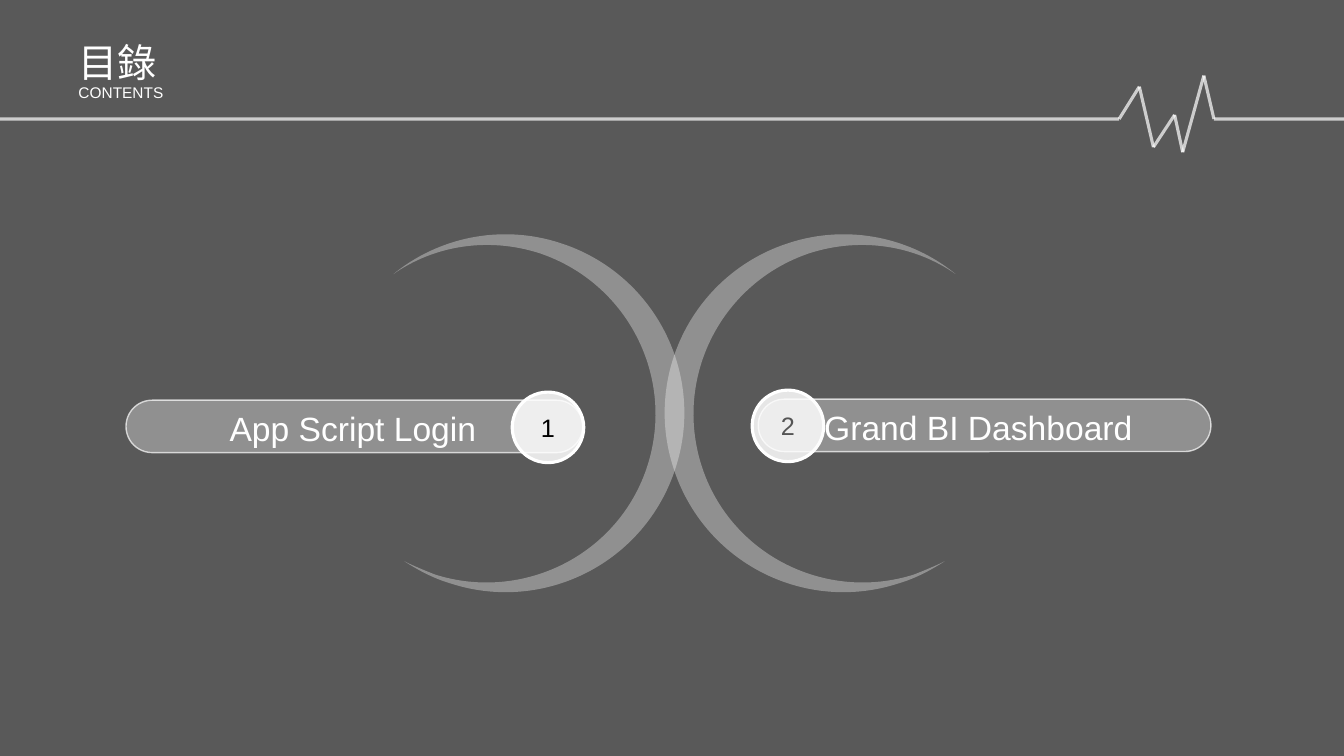
"""Build a contents slide with a pulse line, two crescents and two numbered bars."""
from itertools import pairwise
from math import cos, radians, sin

from lxml.etree import SubElement
from pptx import Presentation
from pptx.dml.color import RGBColor
from pptx.enum.shapes import MSO_CONNECTOR, MSO_SHAPE
from pptx.enum.text import MSO_ANCHOR, PP_ALIGN
from pptx.oxml.ns import qn
from pptx.util import Inches, Pt

THEME = {
    "font": "Arial",
    "veil": "000000",
    "white": "FFFFFF",
    "panel": "FCFCFC",
    "number": "000000",
    "title_size": 28,
    "subtitle_size": 11,
    "label_size": 24,
    "number_size": 18,
    "veil_alpha": 65,
    "panel_alpha": 34,
    "line_alpha": 70,
    "badge_alpha": 85,
    "thick": 2.25,
    "thin": 1,
}
SLIDE_SIZE = (13.33, 7.5)
TITLE = ("目錄", (0.68, 0.33, 3.88, 0.57))
SUBTITLE = ("CONTENTS", (0.68, 0.75, 4.35, 0.3))
PULSE = [(0, 1.18), (11.1, 1.18), (11.3, 0.86), (11.44, 1.46), (11.65, 1.14),
         (11.73, 1.51), (11.94, 0.75), (12.04, 1.18), (13.33, 1.18)]
CRESCENT_START = (5.55, 2.41)
CRESCENT_CURVES = [
    ((6.49, 2.71), (7, 3.71), (6.7, 4.64)),
    ((6.4, 5.58), (5.4, 6.09), (4.47, 5.79)),
    ((4.3, 5.74), (4.15, 5.66), (4.01, 5.57)),
    ((4.11, 5.62), (4.21, 5.66), (4.31, 5.7)),
    ((5.19, 5.98), (6.14, 5.5), (6.42, 4.62)),
    ((6.7, 3.74), (6.22, 2.8), (5.34, 2.51)),
    ((4.83, 2.35), (4.3, 2.44), (3.9, 2.72)),
    ((4.34, 2.36), (4.96, 2.22), (5.55, 2.41)),
]
CRESCENT_CENTER = (5.15, 4.14)
CRESCENT_TILT = 17.8
MIRROR_SUM = 13.38
UNITS_PER_INCH = 10000
ITEMS = [
    {"number": "1", "label": "App Script Login", "badge_in_front": True,
     "bar": (1.25, 3.97, 4.53, 0.52), "badge": (5.08, 3.89, 0.71, 0.7),
     "label_box": (1.22, 4, 4.56, 0.5)},
    {"number": "2", "label": "Grand BI Dashboard ", "badge_in_front": False,
     "bar": (7.52, 3.96, 4.49, 0.52), "badge": (7.46, 3.87, 0.71, 0.71),
     "label_box": (7.47, 3.99, 4.56, 0.5)},
]


def paint(fill, color, alpha=100):
    fill.solid()
    fill.fore_color.rgb = RGBColor.from_string(THEME[color])
    if alpha < 100:
        for rgb in fill._xPr.iter(qn("a:srgbClr")):
            SubElement(rgb, qn("a:alpha"), val=str(alpha * 1000))


def stroke(line, width, alpha=100):
    line.width = Pt(width)
    paint(line.fill, "white", alpha)


def write(frame, text, size, color="white", align=PP_ALIGN.LEFT):
    paragraph = frame.paragraphs[0]
    paragraph.text = text
    paragraph.alignment = align
    paragraph.font.name = THEME["font"]
    paragraph.font.size = Pt(THEME[size])
    paragraph.font.color.rgb = RGBColor.from_string(THEME[color])
    return paragraph


def add_text(slide, text, box, size, align=PP_ALIGN.LEFT):
    frame = slide.shapes.add_textbox(*map(Inches, box)).text_frame
    frame.word_wrap = True
    return write(frame, text, size, align=align)


def add_filled(slide, kind, box, color, alpha):
    shape = slide.shapes.add_shape(kind, *map(Inches, box))
    shape.shadow.inherit = False
    paint(shape.fill, color, THEME[alpha])
    return shape


def add_veil(slide):
    veil = add_filled(slide, MSO_SHAPE.RECTANGLE, (0, 0, *SLIDE_SIZE), "veil", "veil_alpha")
    veil.line.fill.background()


def add_pulse(slide):
    for start, end in pairwise(PULSE):
        beat = slide.shapes.add_connector(
            MSO_CONNECTOR.STRAIGHT, *map(Inches, start + end))
        stroke(beat.line, THEME["thick"], THEME["line_alpha"])
        SubElement(beat._element.spPr, qn("a:effectLst"))


def upright(point, mirrored):
    center_x, center_y = CRESCENT_CENTER
    cosine, sine = cos(radians(CRESCENT_TILT)), sin(radians(CRESCENT_TILT))
    dx, dy = point[0] - center_x, point[1] - center_y
    x = center_x + dx * cosine + dy * sine
    y = center_y - dx * sine + dy * cosine
    return (MIRROR_SUM - x if mirrored else x) * UNITS_PER_INCH, y * UNITS_PER_INCH


def bend(outline):
    """Turn each three straight segments into one curve."""
    segments = list(outline._element.iter(qn("a:lnTo")))
    for first, second, third in zip(*[iter(segments)] * 3):
        first.tag = qn("a:cubicBezTo")
        for segment in (second, third):
            first.append(segment[0])
            segment.getparent().remove(segment)


def add_crescent(slide, mirrored):
    points = [upright(point, mirrored) for curve in CRESCENT_CURVES for point in curve]
    builder = slide.shapes.build_freeform(
        *upright(CRESCENT_START, mirrored), scale=Inches(1) / UNITS_PER_INCH)
    builder.add_line_segments(points, close=True)
    crescent = builder.convert_to_shape()
    bend(crescent)
    crescent.rotation = 360 - CRESCENT_TILT if mirrored else CRESCENT_TILT
    crescent.shadow.inherit = False
    paint(crescent.fill, "panel", THEME["panel_alpha"])
    crescent.line.fill.background()


def add_bar(slide, item):
    bar = add_filled(slide, MSO_SHAPE.ROUNDED_RECTANGLE, item["bar"], "panel", "panel_alpha")
    bar.adjustments[0] = 0.5
    stroke(bar.line, THEME["thin"], THEME["line_alpha"])


def add_badge(slide, item):
    badge = add_filled(slide, MSO_SHAPE.OVAL, item["badge"], "white", "badge_alpha")
    stroke(badge.line, THEME["thick"])
    badge.text_frame.vertical_anchor = MSO_ANCHOR.MIDDLE
    write(badge.text_frame, item["number"], "number_size", "number", PP_ALIGN.CENTER)


def main():
    deck = Presentation()
    deck.slide_width, deck.slide_height = map(Inches, SLIDE_SIZE)
    slide = deck.slides.add_slide(deck.slide_layouts[6])
    add_veil(slide)
    add_pulse(slide)
    add_text(slide, *TITLE, "title_size")
    add_text(slide, *SUBTITLE, "subtitle_size").line_spacing = 1.14
    for mirrored in (False, True):
        add_crescent(slide, mirrored)
    for item in ITEMS:
        layers = (add_bar, add_badge) if item["badge_in_front"] else (add_badge, add_bar)
        for add_layer in layers:
            add_layer(slide, item)
        add_text(slide, item["label"], item["label_box"], "label_size", PP_ALIGN.CENTER)
    deck.save("out.pptx")


if __name__ == "__main__":
    main()
